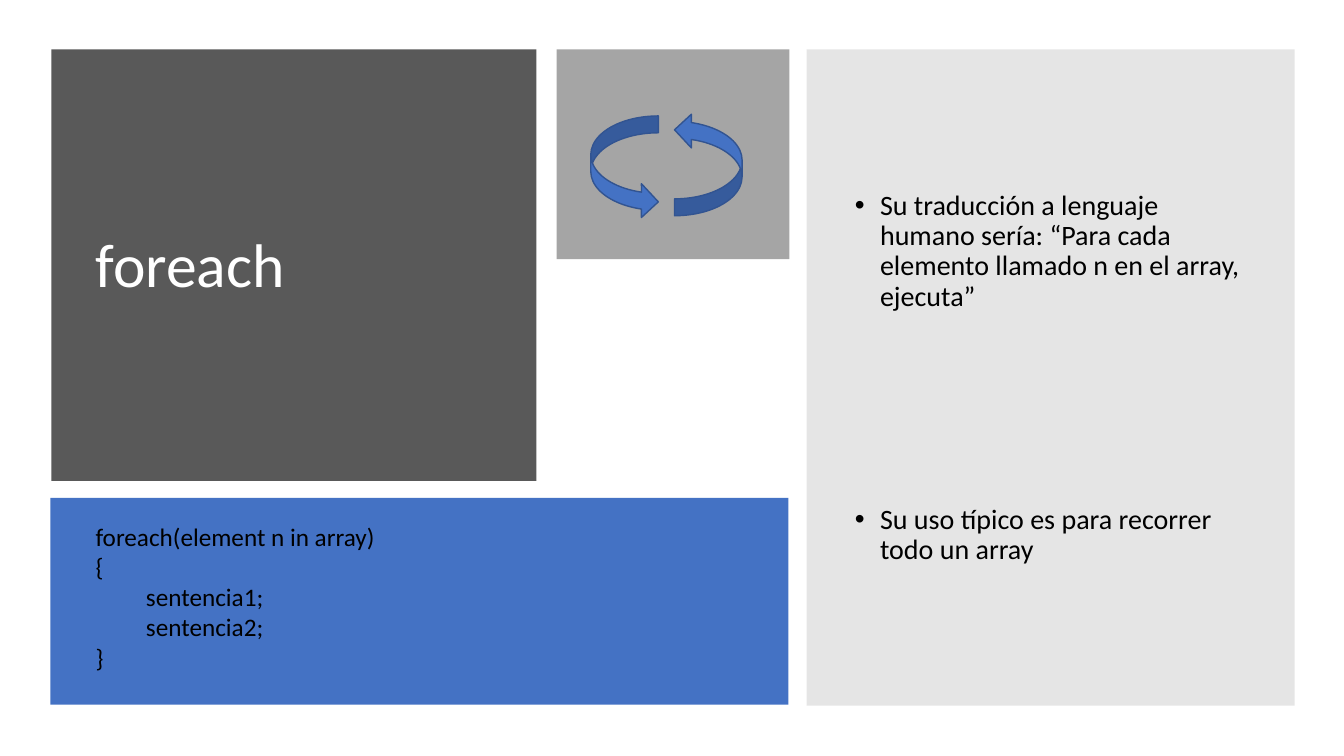
from dataclasses import dataclass

from lxml.etree import SubElement
from pptx import Presentation
from pptx.dml.color import RGBColor
from pptx.enum.shapes import MSO_SHAPE
from pptx.enum.text import MSO_ANCHOR
from pptx.oxml.ns import qn
from pptx.slide import Slide
from pptx.util import Inches, Pt

FONT = "Calibri"
BLUE = "4472C4"
DARK_BLUE = "325491"


@dataclass(frozen=True)
class Box:
    left: float
    top: float
    width: float
    height: float

    def lengths(self) -> list[int]:
        return [Inches(n) for n in (self.left, self.top, self.width, self.height)]


@dataclass(frozen=True)
class Figure:
    box: Box
    fill: str
    kind: MSO_SHAPE = MSO_SHAPE.RECTANGLE
    line: str | None = None
    rotation: float = 0
    opacity: int = 100


FIGURES = [
    Figure(Box(5.52, 0.49, 2.31, 2.08), "A5A5A5"),
    Figure(Box(8, 0.49, 4.84, 6.51), "808080", opacity=20),
    Figure(Box(0.51, 0.49, 4.81, 4.28), "595959"),
    Figure(Box(0.5, 4.94, 7.32, 2.05), BLUE),
    Figure(Box(5.86, 1.15, 0.67, 1.02), BLUE, MSO_SHAPE.CURVED_RIGHT_ARROW, DARK_BLUE),
    Figure(Box(6.69, 1.12, 0.67, 1.02), BLUE, MSO_SHAPE.CURVED_RIGHT_ARROW, DARK_BLUE, 180),
]

EXPLANATION = [
    "Su traducción a lenguaje humano sería: “Para cada elemento llamado n en el array, ejecuta”",
    "Su uso típico es para recorrer todo un array",
]

LOOP_CODE = [
    "foreach(element n in array)",
    "{",
    "\tsentencia1;",
    "\tsentencia2;",
    "}",
]


def color(value: str) -> RGBColor:
    return RGBColor.from_string(value)


def draw_figure(slide: Slide, figure: Figure) -> None:
    shape = slide.shapes.add_shape(figure.kind, *figure.box.lengths())
    shape.shadow.inherit = False
    shape.rotation = figure.rotation
    shape.fill.solid()
    shape.fill.fore_color.rgb = color(figure.fill)
    if figure.opacity < 100:
        fill_color = next(shape.fill._xPr.iter(qn("a:srgbClr")))
        SubElement(fill_color, qn("a:alpha"), val=str(figure.opacity * 1000))
    if figure.line:
        shape.line.color.rgb = color(figure.line)
        shape.line.width = Pt(1)
    else:
        shape.line.fill.background()


def write_text(
    slide: Slide,
    lines: list[str],
    *,
    box: Box,
    size: float,
    ink: str = "000000",
    anchor: MSO_ANCHOR = MSO_ANCHOR.TOP,
    spacing: float = 1.0,
    first_space: float = 0,
    space_between: float = 0,
    bulleted: bool = False,
) -> None:
    frame = slide.shapes.add_textbox(*box.lengths()).text_frame
    frame.word_wrap = True
    frame.vertical_anchor = anchor
    for index, line in enumerate(lines):
        paragraph = frame.add_paragraph() if index else frame.paragraphs[0]
        paragraph.line_spacing = spacing
        paragraph.space_before = Pt(space_between if index else first_space)
        run = paragraph.add_run()
        run.text = line
        run.font.name = FONT
        run.font.size = Pt(size)
        run.font.color.rgb = color(ink)
        if bulleted:
            properties = paragraph._p.get_or_add_pPr()
            properties.set("marL", str(Inches(0.25)))
            properties.set("indent", str(Inches(-0.25)))
            SubElement(properties, qn("a:buFont"), typeface="Arial")
            SubElement(properties, qn("a:buChar"), char="•")


def main() -> None:
    presentation = Presentation()
    presentation.slide_width = Inches(13.33)
    presentation.slide_height = Inches(7.5)
    slide = presentation.slides.add_slide(presentation.slide_layouts[6])
    for figure in FIGURES:
        draw_figure(slide, figure)
    write_text(slide, ["foreach"], box=Box(0.85, 0.83, 4.11, 3.65), size=44,
               ink="FFFFFF", anchor=MSO_ANCHOR.MIDDLE, spacing=0.9)
    write_text(slide, EXPLANATION, box=Box(8.38, 0.87, 4.11, 5.77), size=20,
               anchor=MSO_ANCHOR.MIDDLE, spacing=0.9, first_space=10,
               space_between=138, bulleted=True)
    write_text(slide, LOOP_CODE, box=Box(0.85, 5.12, 6.8, 1.62), size=18)
    presentation.save("out.pptx")


if __name__ == "__main__":
    main()
